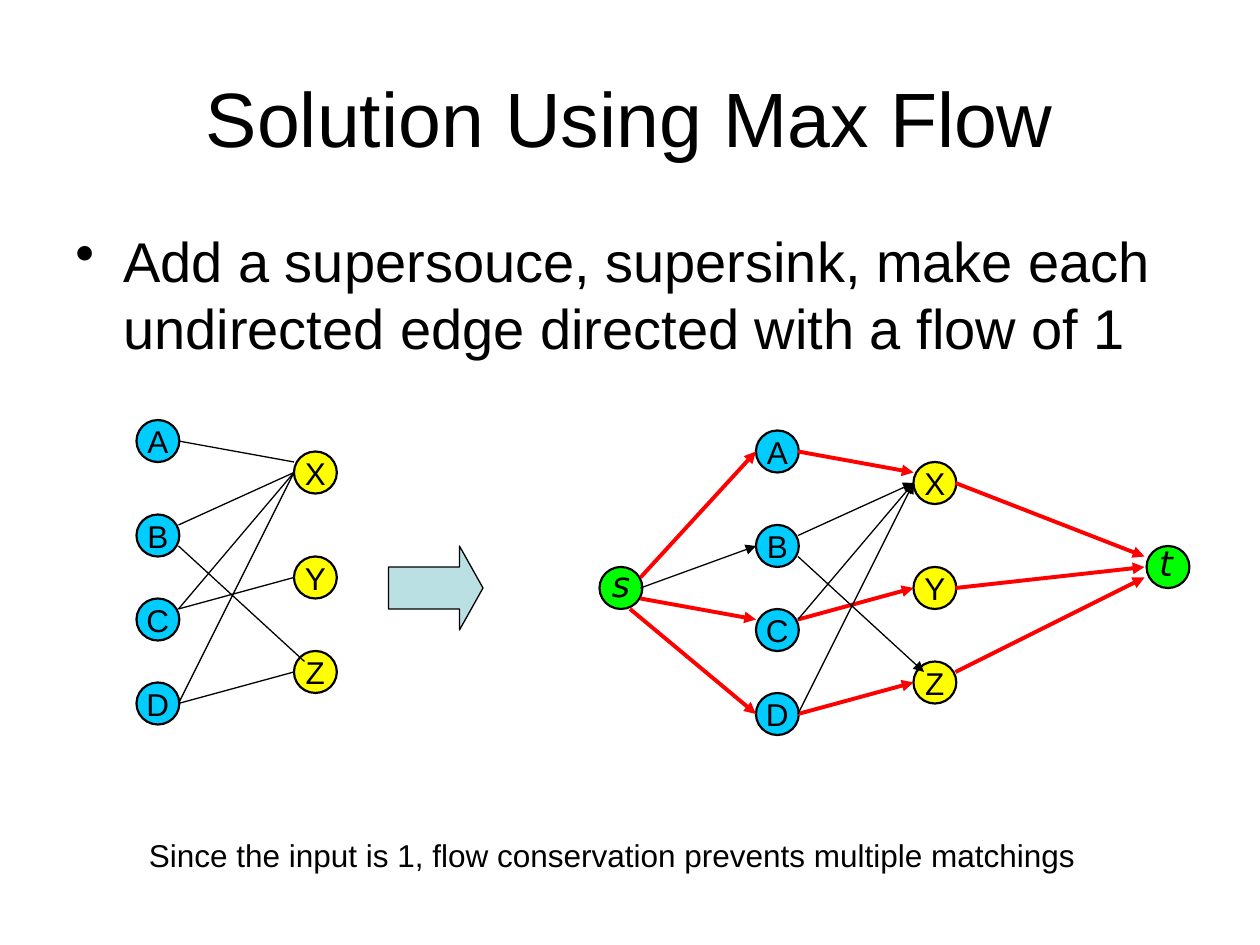
from lxml.etree import SubElement
from pptx import Presentation
from pptx.dml.color import RGBColor
from pptx.enum.shapes import MSO_CONNECTOR as Connector, MSO_SHAPE as Shape
from pptx.enum.text import MSO_ANCHOR as Anchor, PP_ALIGN as Align
from pptx.oxml.ns import qn
from pptx.util import Inches, Pt

BLACK = RGBColor(0x00, 0x00, 0x00)
RED = RGBColor(0xFF, 0x00, 0x00)
BLUE = RGBColor(0x00, 0xCC, 0xFF)
YELLOW = RGBColor(0xFF, 0xFF, 0x00)
GREEN = RGBColor(0x00, 0xFF, 0x00)
PALE_TEAL = RGBColor(0xBB, 0xE0, 0xE3)

VERTICES = [
    ("A", 13, 40, BLUE), ("B", 13, 49, BLUE), ("C", 13, 57, BLUE), ("D", 13, 65, BLUE),
    ("X", 28, 43, YELLOW), ("Y", 28, 53, YELLOW), ("Z", 28, 62, YELLOW),
]
MATCHED, UNMATCHED = True, False
EDGES = [
    (17, 42, 28, 44, MATCHED), (17, 50, 28, 45, UNMATCHED),
    (17, 58, 28, 55, MATCHED), (17, 67, 28, 64, MATCHED),
    (17, 67, 28, 45, UNMATCHED), (17, 52, 29, 63, UNMATCHED),
    (17, 58, 28, 45, UNMATCHED),
]
TERMINAL_EDGES = [
    (61, 55, 72, 43, MATCHED), (61, 56, 72, 52, UNMATCHED),
    (61, 57, 72, 59, MATCHED), (60, 58, 72, 68, MATCHED),
    (91, 46, 109, 53, MATCHED), (91, 56, 109, 54, MATCHED),
    (91, 64, 109, 55, MATCHED),
]


class FlowSlide:
    font = "Arial"
    symbol_font = "DejaVu Sans"
    cells_per_inch = 12
    node_size = (4.08, 4)

    def __init__(self, deck):
        self.slide = deck.slides.add_slide(deck.slide_layouts[6])
        self.shapes = self.slide.shapes

    def grid(self, *cells):
        return [Inches(cell / self.cells_per_inch) for cell in cells]

    def set_words(self, frame, words, size, align, font=None, italic=None):
        paragraph = frame.paragraphs[0]
        paragraph.text = words
        paragraph.alignment = align
        paragraph.font.name = font or self.font
        paragraph.font.size = Pt(size)
        paragraph.font.italic = italic
        paragraph.font.color.rgb = BLACK
        return paragraph

    def text(self, words, box, size, align=Align.LEFT, anchor=Anchor.TOP, wrap=True, **style):
        frame = self.shapes.add_textbox(*self.grid(*box)).text_frame
        frame.word_wrap = wrap
        frame.vertical_anchor = anchor
        return self.set_words(frame, words, size, align, **style)

    def bullet(self, words, box, size):
        paragraph = self.text(words, box, size)
        paragraph.space_before = Pt(8)
        properties = paragraph._p.get_or_add_pPr()
        properties.set("marL", str(Inches(0.38)))
        properties.set("indent", str(-Inches(0.38)))
        SubElement(properties, qn("a:buChar"), char="•")

    def shape(self, kind, box, fill, line_width):
        shape = self.shapes.add_shape(kind, *self.grid(*box))
        shape.shadow.inherit = False
        shape.fill.solid()
        shape.fill.fore_color.rgb = fill
        shape.line.color.rgb = BLACK
        shape.line.width = Pt(line_width)
        return shape

    def node(self, column, row, fill, label=None):
        circle = self.shape(Shape.OVAL, (column, row, *self.node_size), fill, 1.25)
        if label:
            frame = circle.text_frame
            frame.word_wrap = False
            frame.vertical_anchor = Anchor.MIDDLE
            self.set_words(frame, label, 18, Align.CENTER)

    def terminal(self, label, column, row, label_width):
        self.node(column, row, GREEN)
        self.text(label, (column, row - 1, label_width, 5.28), 20, wrap=False,
                  font=self.symbol_font, italic=True)

    def block_arrow(self, box):
        arrow = self.shape(Shape.RIGHT_ARROW, box, PALE_TEAL, 0.75)
        arrow.adjustments[1] = 0.28

    def edge(self, ends, directed=False, matched=False):
        edge = self.shapes.add_connector(Connector.STRAIGHT, *self.grid(*ends))
        edge.line.color.rgb = RED if matched else BLACK
        edge.line.width = Pt(2.25 if matched else 0.75)
        if directed:
            SubElement(edge.line._get_or_add_ln(), qn("a:tailEnd"), type="triangle")
        SubElement(edge._element.spPr, qn("a:effectLst"))

    def bipartite_graph(self, right=0, down=0, directed=False):
        for label, column, row, fill in VERTICES:
            self.node(column + right, row + down, fill, label)
        for x1, y1, x2, y2, matched in EDGES:
            ends = (x1 + right, y1 + down, x2 + right, y2 + down)
            self.edge(ends, directed, directed and matched)


def main():
    deck = Presentation()
    deck.slide_width, deck.slide_height = Inches(10), Inches(7.5)
    flow = FlowSlide(deck)
    flow.text("Solution Using Max Flow", (6, 3.6, 108, 15), 44, Align.CENTER, Anchor.MIDDLE)
    flow.bullet("Add a supersouce, supersink, make each undirected edge directed "
                "with a flow of 1", (6, 21, 108, 59.4), 32)
    flow.bipartite_graph()
    flow.block_arrow((37, 52, 9, 8))
    flow.bipartite_graph(right=59, down=1, directed=True)
    flow.terminal("s", 57.1, 54, 3.84)
    flow.terminal("t", 109.2, 52, 3.48)
    for *ends, matched in TERMINAL_EDGES:
        flow.edge(ends, True, matched)
    flow.text("Since the input is 1, flow conservation prevents multiple matchings",
              (13, 79, 90.6, 4.8), 18, wrap=False)
    deck.save("out.pptx")


if __name__ == "__main__":
    main()
